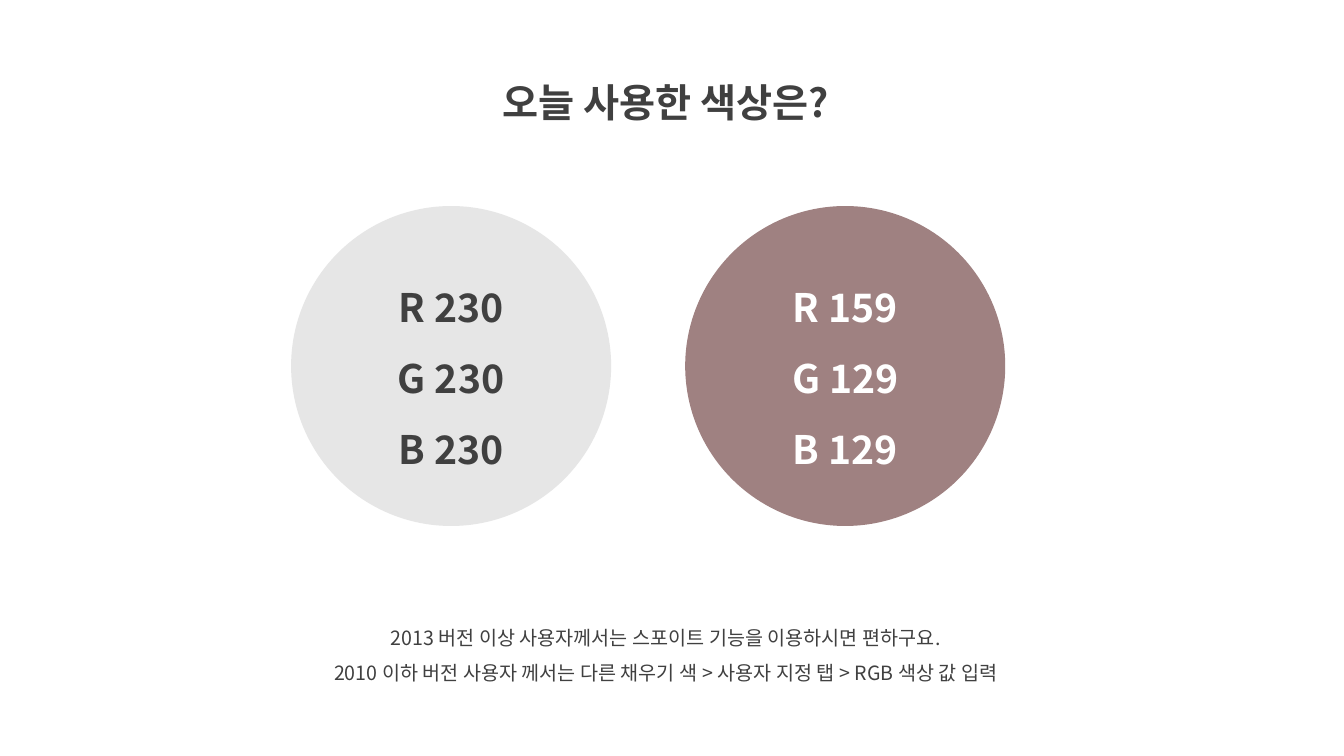
from dataclasses import dataclass

from lxml.etree import SubElement
from pptx import Presentation
from pptx.dml.color import RGBColor
from pptx.enum.shapes import MSO_SHAPE
from pptx.enum.text import MSO_ANCHOR, PP_ALIGN
from pptx.oxml.ns import qn
from pptx.util import Emu, Inches, Pt


@dataclass(frozen=True)
class Theme:
    font: str = "Noto Sans CJK KR"
    dark: str = "404040"
    white: str = "FFFFFF"
    gray: str = "E6E6E6"
    mauve: str = "9F8181"
    large: int = 28
    small: int = 14
    spacing: float = 1.5


theme = Theme()


def px(*values):
    return [Emu(round(v * 914400 / 100.8)) for v in values]


def write(sp, lines, size, color, bold, anchor):
    tf = sp.text_frame
    tf.word_wrap = True
    tf.vertical_anchor = anchor
    for i, line in enumerate(lines):
        p = tf.paragraphs[0] if i == 0 else tf.add_paragraph()
        p.alignment = PP_ALIGN.CENTER
        p.line_spacing = theme.spacing
        r = p.add_run()
        r.text = line
        r.font.name = theme.font
        r.font.size = Pt(size)
        r.font.bold = bold
        r.font.color.rgb = RGBColor.from_string(color)
        SubElement(r.font._element, qn("a:ea"), typeface=theme.font)


prs = Presentation()
prs.slide_width, prs.slide_height = Inches(13.33), Inches(7.5)
s = prs.slides.add_slide(prs.slide_layouts[6])

title = ["오늘 사용한 색상은?"]
notes = [
    "2013 버전 이상 사용자께서는 스포이트 기능을 이용하시면 편하구요.",
    "2010 이하 버전 사용자 께서는 다른 채우기 색 > 사용자 지정 탭 > RGB 색상 값 입력",
]
for box, lines, size, bold in [
    ((432, 50, 467, 73), title, theme.large, True),
    ((263, 609, 805, 82), notes, theme.small, False),
]:
    sp = s.shapes.add_textbox(*px(*box))
    write(sp, lines, size, theme.dark, bold, MSO_ANCHOR.TOP)

for left, fill, color in [
    (291, theme.gray, theme.dark),
    (685, theme.mauve, theme.white),
]:
    sp = s.shapes.add_shape(MSO_SHAPE.OVAL, *px(left, 206, 320, 320))
    sp.shadow.inherit = False
    rgb = RGBColor.from_string(fill)
    sp.fill.solid()
    sp.fill.fore_color.rgb = rgb
    sp.line.fill.background()
    lines = [f"{channel} {value}" for channel, value in zip("RGB", rgb)]
    write(sp, lines, theme.large, color, True, MSO_ANCHOR.MIDDLE)

prs.save("out.pptx")
